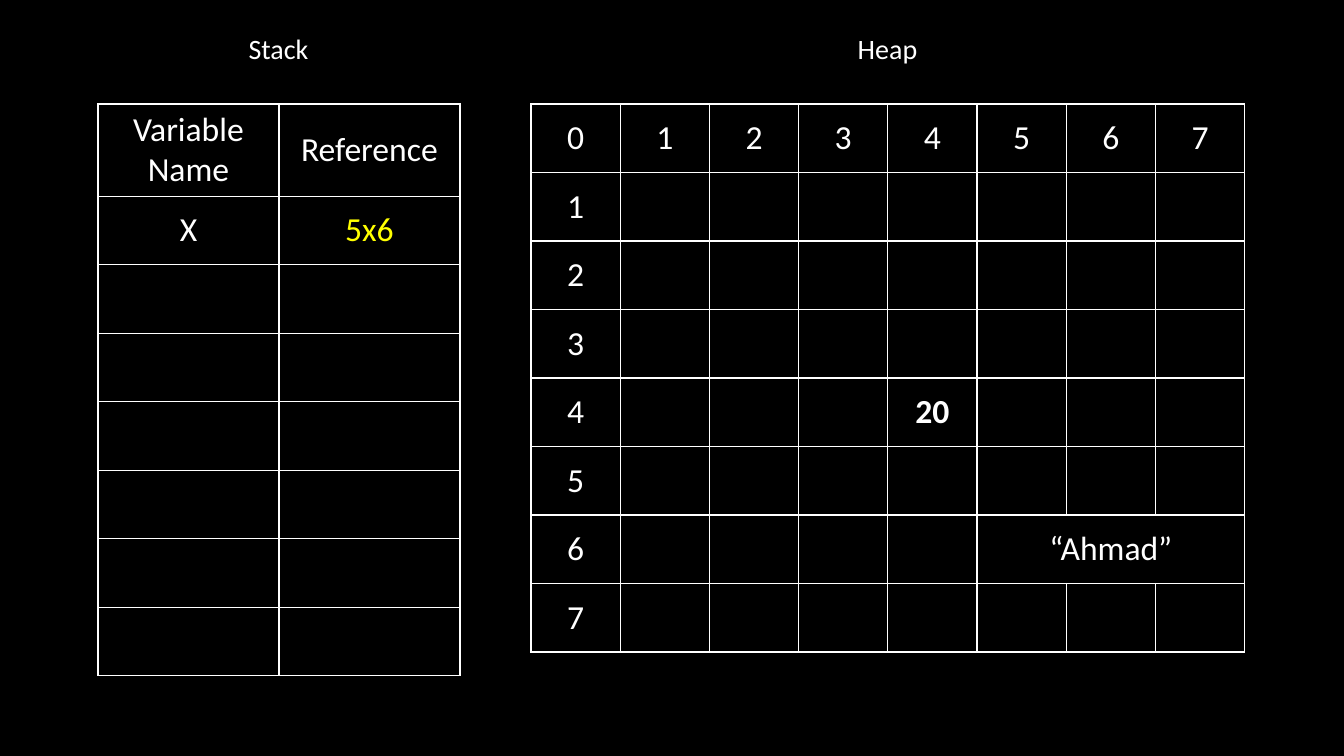
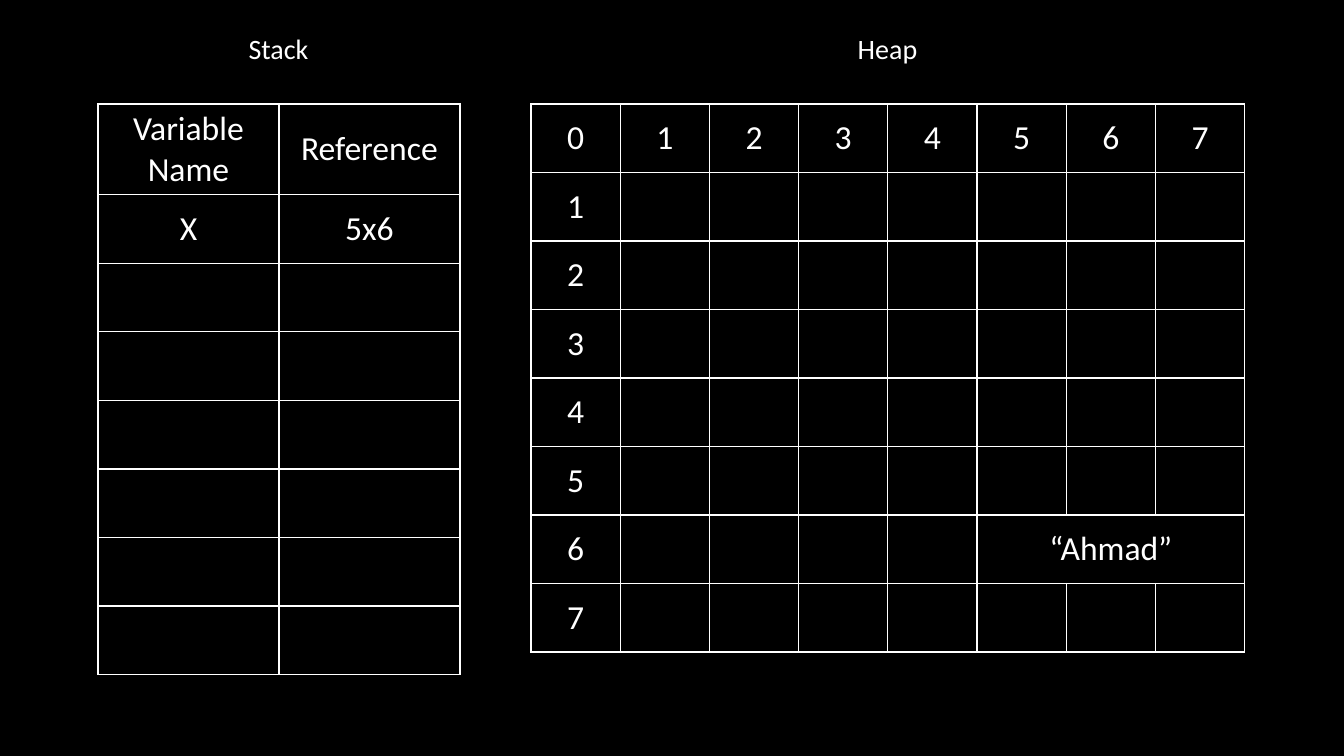
import pptx
import pptx.util
import pptx.dml.color
import pptx.enum.text
import pptx.oxml

WHITE = pptx.dml.color.RGBColor(0xFF, 0xFF, 0xFF)
BLACK = pptx.dml.color.RGBColor(0x00, 0x00, 0x00)
YELLOW = pptx.dml.color.RGBColor(0xFF, 0xFF, 0x00)
FONT = "Calibri"
SCALE = 914400 / 100.8
CENTER = pptx.enum.text.PP_ALIGN.CENTER
MIDDLE = pptx.enum.text.MSO_ANCHOR.MIDDLE
NS = "http://schemas.openxmlformats.org/drawingml/2006/main"


def px(n):
    return pptx.util.Emu(round(n * SCALE))


def write(frame, text, size, color=WHITE, bold=False):
    para = frame.paragraphs[0]
    para.alignment = CENTER
    run = para.add_run()
    run.text = text
    run.font.name = FONT
    run.font.size = pptx.util.Pt(size)
    run.font.bold = bold
    run.font.color.rgb = color


def label(slide, left, text):
    box = slide.shapes.add_textbox(px(left), px(27), px(181), px(44))
    box.text_frame.word_wrap = True
    write(box.text_frame, text, 20)


def border(cell):
    props = cell._tc.get_or_add_tcPr()
    for side in ("lnL", "lnR", "lnT", "lnB"):
        props.append(pptx.oxml.parse_xml(
            f'<a:{side} xmlns:a="{NS}" w="12700"><a:solidFill>'
            f'<a:srgbClr val="{WHITE}"/></a:solidFill></a:{side}>'))


def grid(slide, left, width, height, cols, head, texts, spans=()):
    """Draw an 8-row table; texts maps (row, col) to the arguments of write."""
    rows, top = 8, 104
    frame = slide.shapes.add_table(
        rows, cols, px(left), px(top), px(width), px(height))
    table = frame.table
    table.first_row = False
    table.horz_banding = False
    for col in table.columns:
        col.width = px(width / cols)
    for i, row in enumerate(table.rows):
        row.height = px(head if i == 0 else (height - head) / (rows - 1))
    for cell in table.iter_cells():
        border(cell)
        cell.fill.background()
        cell.vertical_anchor = MIDDLE
    for start, end in spans:
        table.cell(*start).merge(table.cell(*end))
    for spot, args in texts.items():
        write(table.cell(*spot).text_frame, args[0], 24, *args[1:])


def memory(prs, tint, extra):
    """One slide: the stack on the left, the heap on the right."""
    slide = prs.slides.add_slide(prs.slide_layouts[6])

    # Stack
    stack = {(0, 0): ("Variable Name",), (0, 1): ("Reference",),
             (1, 0): ("X",), (1, 1): ("5x6", tint)}
    grid(slide, 98, 362, 570, 2, 90, stack)

    # Heap: numbers along the top and the left edge
    heap = {(0, n): (str(n),) for n in range(8)}
    heap.update({(n, 0): (str(n),) for n in range(8)})
    heap[6, 5] = ("“Ahmad”",)
    heap.update(extra)
    grid(slide, 531, 714, 548, 8, 68.5, heap, [((6, 5), (6, 7))])

    # Labels
    label(slide, 188, "Stack")
    label(slide, 797, "Heap")


def main():
    prs = pptx.Presentation()
    prs.slide_width, prs.slide_height = px(1344), px(756)
    back = prs.slide_master.background.fill
    back.solid()
    back.fore_color.rgb = BLACK

    memory(prs, YELLOW, {(4, 4): ("20", WHITE, True)})
    memory(prs, WHITE, {})
    prs.save("out.pptx")


main()
